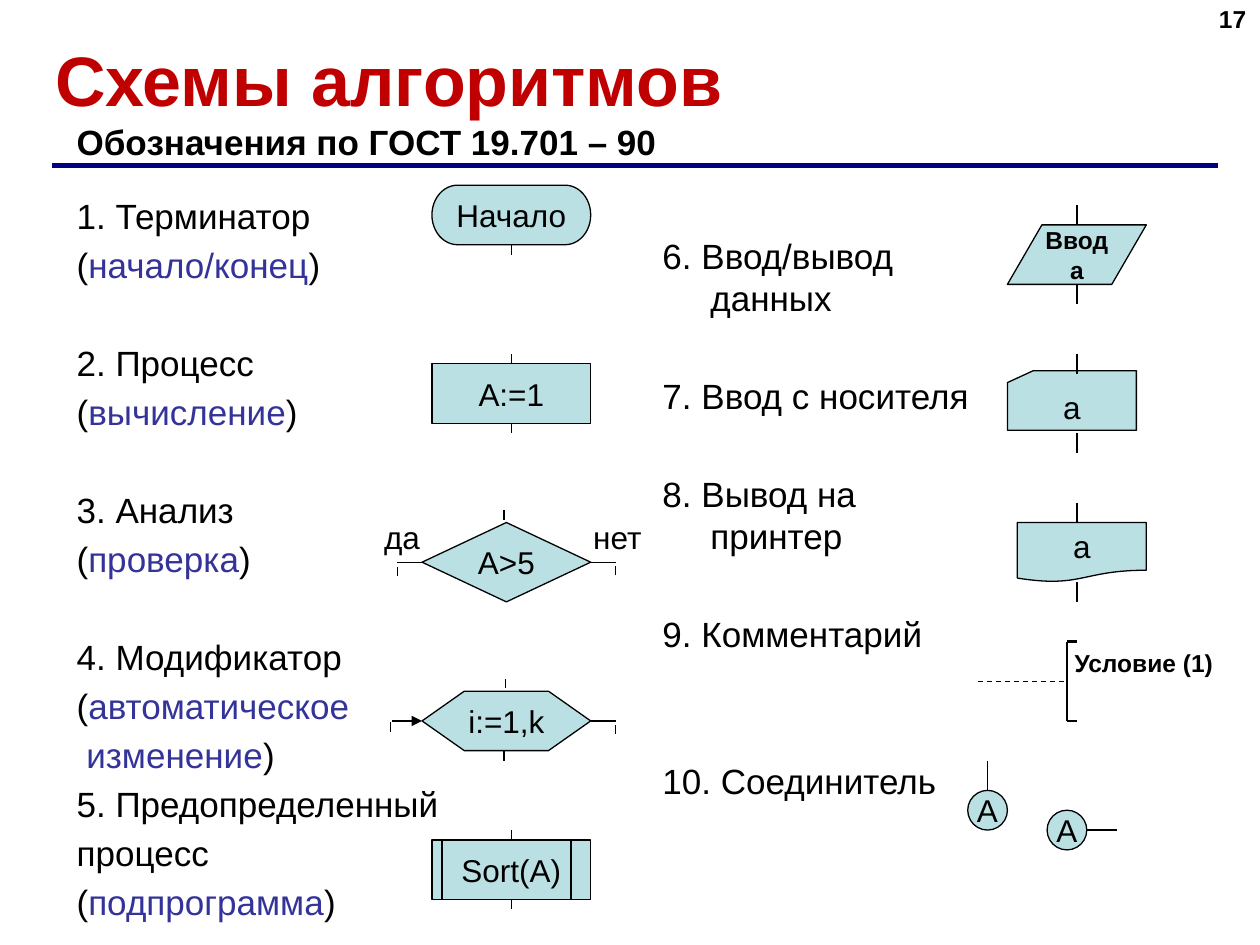
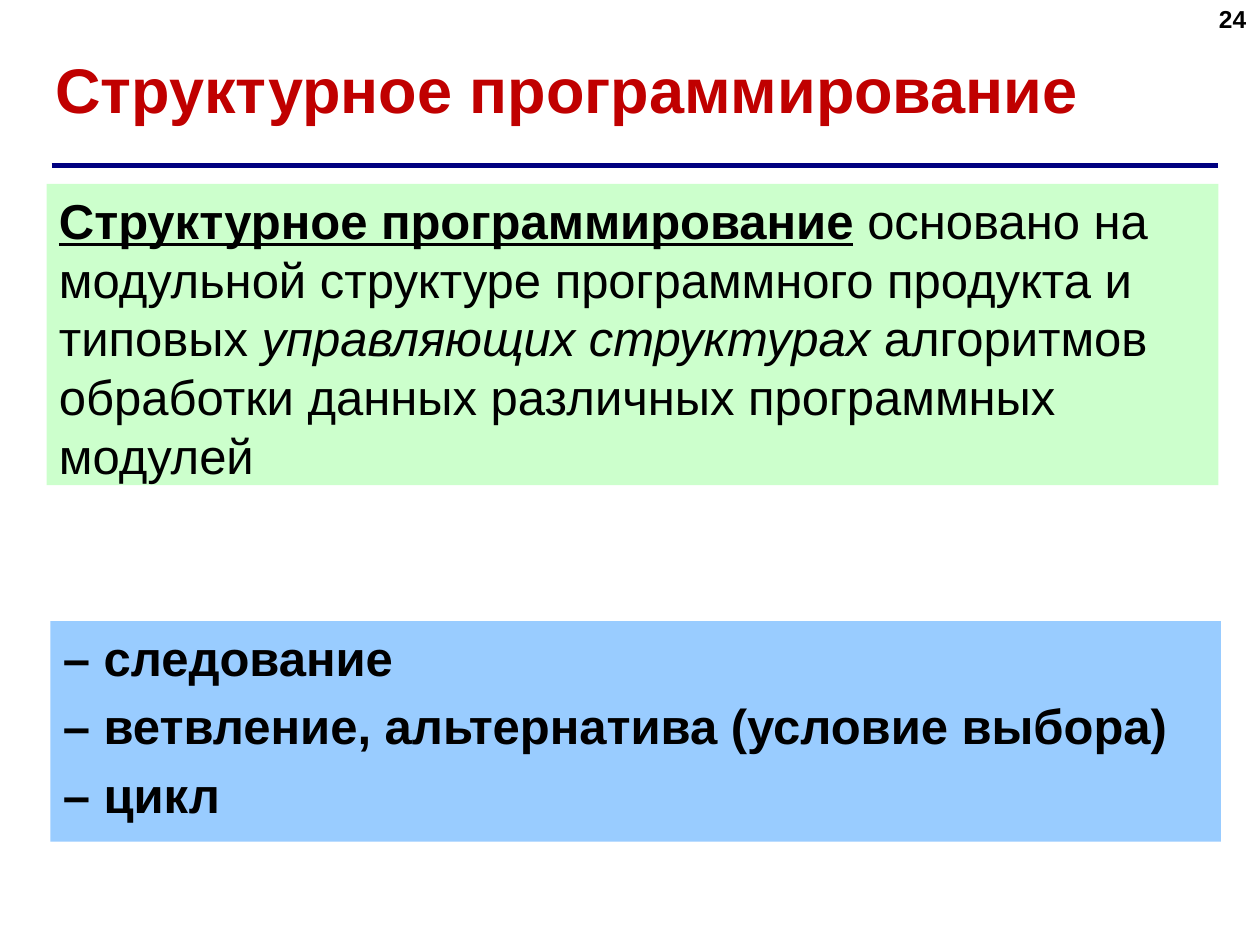
import pptx
import pptx.dml.color
import pptx.enum.dml
import pptx.enum.shapes
import pptx.enum.text
import pptx.oxml
import pptx.oxml.ns
import pptx.util

COLORS = {
    "text": "000000", "title": "C00000", "rule": "000080", "accent": "333399",
    "symbol": "BBE0E3", "definition": "CCFFCC", "structures": "99CCFF",
}
FONT = "Arial"
SHAPES = pptx.enum.shapes.MSO_SHAPE
ALIGN = pptx.enum.text.PP_ALIGN
ANCHOR = pptx.enum.text.MSO_ANCHOR
rgb = pptx.dml.color.RGBColor.from_string

presentation = pptx.Presentation()
presentation.slide_width = pptx.util.Inches(10)
presentation.slide_height = pptx.util.Inches(7.5)
WIDTH, HEIGHT = presentation.slide_width, presentation.slide_height

# Flowchart grid: square cells, counted from the corner of the symbol area
CELL = WIDTH / 127
GRID_LEFT, GRID_TOP = 0.335 * WIDTH, 0.196 * HEIGHT

# Text boxes: left, top, width, height in percent of the slide
PERCENT = (WIDTH / 100, HEIGHT / 100) * 2


def write_text(shape, paragraphs, size, color="text", bold=False, align=ALIGN.LEFT,
               anchor=ANCHOR.TOP, wrap=True, hanging=0):
    """Each paragraph is (space before in points, [(run text, run style), ...])."""
    frame = shape.text_frame
    frame.word_wrap = wrap
    frame.vertical_anchor = anchor
    for index, (space, runs) in enumerate(paragraphs):
        paragraph = frame.add_paragraph() if index else frame.paragraphs[0]
        paragraph.alignment = align
        paragraph.space_before = pptx.util.Pt(space)
        if hanging:
            indent = pptx.util.Inches(hanging)
            properties = paragraph._p.get_or_add_pPr()
            properties.set("marL", str(indent))
            properties.set("indent", str(-indent))
        for text, style in runs:
            run = paragraph.add_run()
            run.text = text
            run.font.name = FONT
            run.font.size = pptx.util.Pt(size)
            run.font.bold = bold or "bold" in style
            run.font.italic = "italic" in style
            run.font.underline = "underline" in style
            run.font.color.rgb = rgb(COLORS["accent" if "accent" in style else color])


def add_line(slide, start, end, color="text", weight=0.75):
    connector = slide.shapes.add_connector(
        pptx.enum.shapes.MSO_CONNECTOR.STRAIGHT,
        *(round(value) for value in (*start, *end)))
    connector.line.color.rgb = rgb(COLORS[color])
    connector.line.width = pptx.util.Pt(weight)
    connector._element.spPr.append(pptx.oxml.parse_xml(
        "<a:effectLst %s/>" % pptx.oxml.ns.nsdecls("a")))
    return connector


# Both slides: rule, title, page number
slides = []
for title, title_size, title_top, number in [
    ("Схемы алгоритмов", 40, 4.8, "17"),
    ("Структурное программирование", 36, 5.87, "24"),
]:
    slide = presentation.slides.add_slide(presentation.slide_layouts[6])
    add_line(slide, (0.041 * WIDTH, 0.175 * HEIGHT), (0.967 * WIDTH, 0.175 * HEIGHT), "rule", 3)
    for box, text, size, color, align, anchor in [
        ((3.4, title_top, 91.6, 6.93), title, title_size, "title", ALIGN.LEFT, ANCHOR.MIDDLE),
        ((76.6, -0.27, 23.3, 6.93), number, 14, "text", ALIGN.RIGHT, ANCHOR.TOP),
    ]:
        text_box = slide.shapes.add_textbox(*(round(a * b) for a, b in zip(box, PERCENT)))
        write_text(text_box, [(0, [(text, "")])], size, color, True, align, anchor)
    slides.append(slide)
chart_slide, structure_slide = slides

# Slide 1: two columns of symbol names
LINE, GAP, DOUBLE_GAP = 4, 32, 60
left_names = [
    (LINE, [("Обозначения по ГОСТ 19.701 – 90", "bold")]),
    (18, [("1. Терминатор", "")]),
    (LINE, [("(", ""), ("начало/конец", "accent"), (")", "")]),
    (GAP, [("2. Процесс", "")]),
    (LINE, [("(", ""), ("вычисление", "accent"), (")", "")]),
    (GAP, [("3. Анализ", "")]),
    (LINE, [("(", ""), ("проверка", "accent"), (")", "")]),
    (GAP, [("4. Модификатор", "")]),
    (LINE, [("(", ""), ("автоматическое", "accent")]),
    (LINE, [(" изменение", "accent"), (")", "")]),
    (LINE, [("5. Предопределенный", "")]),
    (LINE, [("процесс", "")]),
    (LINE, [("(", ""), ("подпрограмма", "accent"), (")", "")]),
]
right_names = [
    (LINE, [("6. Ввод/вывод", "")]),
    (0, [("\tданных", "")]),
    (GAP, [("7. Ввод с носителя", "")]),
    (GAP, [("8. Вывод на принтер", "")]),
    (GAP, [("9. Комментарий", "")]),
    (DOUBLE_GAP, [("10. Соединитель", "")]),
]
for box, names in [((5.1, 12.13, 53.5, 87.87), left_names),
                   ((51.6, 24.17, 27.6, 72), right_names)]:
    text_box = chart_slide.shapes.add_textbox(*(round(a * b) for a, b in zip(box, PERCENT)))
    write_text(text_box, names, 20, hanging=0.38)

# Slide 1: symbols, placed by column, row, columns, rows
symbols = {}
for name, preset, column, row, columns, rows, lines, size in [
    ("terminator", SHAPES.FLOWCHART_TERMINATOR, 1, 0, 16, 6, ["Начало"], 18),
    ("process", SHAPES.RECTANGLE, 1, 18, 16, 6, ["A:=1"], 18),
    ("decision", SHAPES.DIAMOND, 0, 34, 17, 8, ["A>5"], 18),
    ("modifier", SHAPES.HEXAGON, 0, 51, 17, 6, ["i:=1,k"], 18),
    ("subroutine", SHAPES.RECTANGLE, 1, 66, 16, 6, ["Sort(A)"], 18),
    ("input", SHAPES.PARALLELOGRAM, 59, 4, 14, 6, ["Ввод", "a"], 14),
    ("card", SHAPES.FLOWCHART_CARD, 59, 18.7, 13, 6, ["a"], 18),
    ("document", SHAPES.FLOWCHART_DOCUMENT, 60, 34, 13, 6, ["a"], 18),
    ("upper connector", SHAPES.OVAL, 55, 61, 4, 4, ["A"], 18),
    ("lower connector", SHAPES.OVAL, 63, 63, 4, 4, ["A"], 18),
]:
    symbol = chart_slide.shapes.add_shape(
        preset, round(GRID_LEFT + column * CELL), round(GRID_TOP + row * CELL),
        round(columns * CELL), round(rows * CELL))
    symbol.shadow.inherit = False
    symbol.fill.solid()
    symbol.fill.fore_color.rgb = rgb(COLORS["symbol"])
    symbol.line.color.rgb = rgb(COLORS["text"])
    symbol.line.width = pptx.util.Pt(0.75)
    write_text(symbol, [(0, [(line, "")]) for line in lines], size, bold=size == 14,
               align=ALIGN.CENTER, anchor=ANCHOR.MIDDLE, wrap=False)
    symbols[name] = symbol
symbols["modifier"].adjustments[0] = 0.71
symbols["input"].adjustments[0] = 0.58

# Slide 1: free lines, as column and row of both ends, and weight
free_lines = [
    (2, 66, 2, 72, 0.75), (15, 66, 15, 72, 0.75),  # subroutine bars
    (65, 46, 65, 54, 1.25), (65, 46, 66, 46, 1.25), (65, 54, 66, 54, 1.25),  # comment bracket
    (57, 58, 57, 61, 0.75), (67, 65, 70, 65, 0.75),  # connector tails
    (8.25, 33.7, 8.25, 32.7, 0.75), (-2.5, 39.4, -2.5, 38.5, 0.75),
    (19.5, 39.3, 19.5, 38.4, 0.75),  # decision
    (8.4, 50.7, 8.4, 49.8, 0.75), (8.25, 58, 8.25, 57, 0.75), (19.5, 54, 17, 54, 0.75),
    (-3.2, 55.1, -3.2, 54.1, 0.75), (19.5, 55.3, 19.5, 54.4, 0.75),  # modifier
]
for top, bottom in [(2, 10), (17, 25), (32, 40)]:  # input, card, document
    free_lines += [(66, row, 66, row + 2, 0.75) for row in (top, bottom)]
for column, row, end_column, end_row, weight in free_lines:
    add_line(chart_slide, (GRID_LEFT + column * CELL, GRID_TOP + row * CELL),
             (GRID_LEFT + end_column * CELL, GRID_TOP + end_row * CELL), weight=weight)

comment_link = add_line(chart_slide, (GRID_LEFT + 56 * CELL, GRID_TOP + 50 * CELL),
                        (GRID_LEFT + 65 * CELL, GRID_TOP + 50 * CELL))
comment_link.line.dash_style = pptx.enum.dml.MSO_LINE.DASH

loop_arrow = add_line(chart_slide, (GRID_LEFT, GRID_TOP + 54 * CELL),
                      (GRID_LEFT - 3 * CELL, GRID_TOP + 54 * CELL))
loop_arrow.line._get_or_add_ln().append(pptx.oxml.parse_xml(
    '<a:headEnd type="triangle" %s/>' % pptx.oxml.ns.nsdecls("a")))

# Slide 1: stubs joined to a side (0 top, 1 left, 2 bottom, 3 right)
for name, side, length in [
    ("terminator", 2, 1), ("process", 0, 1), ("process", 2, 1),
    ("subroutine", 0, 1), ("subroutine", 2, 1), ("decision", 1, 2.5), ("decision", 3, 2.5),
]:
    symbol = symbols[name]
    step_x, step_y = [(0, -1), (-1, 0), (0, 1), (1, 0)][side]
    start = (symbol.left + symbol.width * (1 + step_x) / 2,
             symbol.top + symbol.height * (1 + step_y) / 2)
    end = (start[0] + step_x * length * CELL, start[1] + step_y * length * CELL)
    add_line(chart_slide, start, end).begin_connect(symbol, side)

# Slide 1: labels beside the symbols
for box, text, size in [
    ((84.3, 67.87, 13.1, 4.4), "Условие (1)", 14),
    ((29.5, 54.13, 4.9, 5.33), "да", 18),
    ((46.1, 54.13, 5.9, 5.33), "нет", 18),
]:
    label = chart_slide.shapes.add_textbox(*(round(a * b) for a, b in zip(box, PERCENT)))
    write_text(label, [(0, [(text, "")])], size, bold=size == 14, wrap=False)
    label.text_frame.auto_size = pptx.enum.text.MSO_AUTO_SIZE.SHAPE_TO_FIT_TEXT

# Slide 2: definition and list of control structures
definition = [(0, [
    ("Структурное программирование", "bold underline"),
    (" основано на модульной структуре программного продукта и типовых ", ""),
    ("управляющих структурах", "italic"),
    (" алгоритмов обработки данных различных программных модулей", ""),
])]
structures = [(5.6, [(text, "bold")]) for text in (
    "– следование", "– ветвление, альтернатива (условие выбора)", "– цикл")]
for box, fill, paragraphs, hanging in [
    ((3.7, 19.47, 93, 31.87), "definition", definition, 0),
    ((4, 65.73, 92.9, 23.33), "structures", structures, 0.38),
]:
    panel = structure_slide.shapes.add_shape(
        SHAPES.RECTANGLE, *(round(a * b) for a, b in zip(box, PERCENT)))
    panel.shadow.inherit = False
    panel.fill.solid()
    panel.fill.fore_color.rgb = rgb(COLORS[fill])
    panel.line.fill.background()
    write_text(panel, paragraphs, 28, hanging=hanging)

presentation.save("out.pptx")
